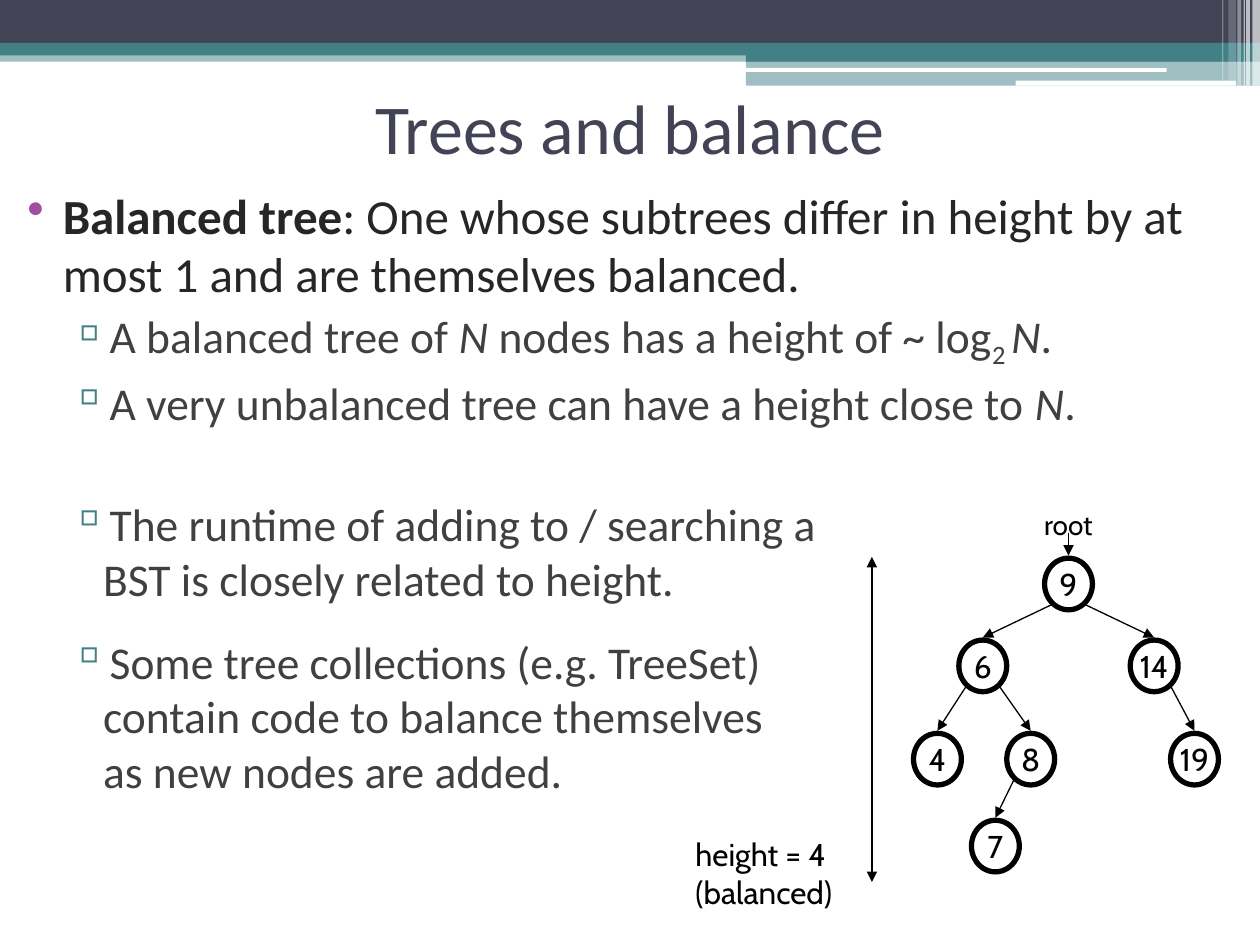
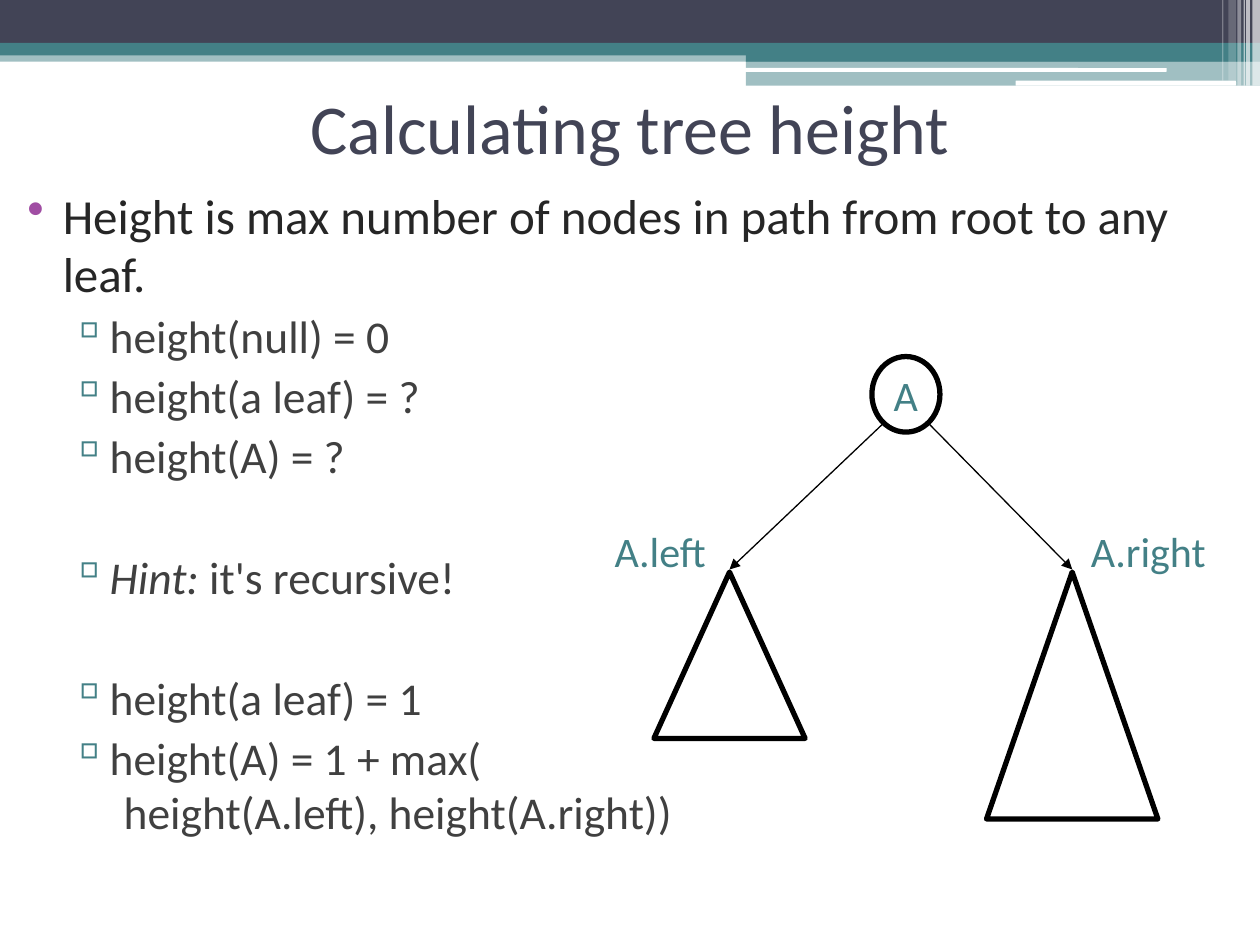
from dataclasses import dataclass

from lxml import etree
from pptx import Presentation
from pptx import util as u
from pptx.dml.color import RGBColor
from pptx.enum import shapes, text
from pptx.oxml import ns

SHAPE = shapes.MSO_SHAPE
ALIGN = text.PP_ALIGN


@dataclass(frozen=True)
class Theme:
    navy: str = "424456"
    teal: str = "438086"
    purple: str = "A04DA3"
    white: str = "FFFFFF"
    black: str = "000000"
    body: str = "262626"
    detail: str = "404040"
    body_font: str = "Calibri"
    diagram_font: str = "Cabin"
    title_size: int = 40
    body_size: int = 28
    detail_size: int = 26
    label_size: int = 24
    node_size: int = 18
    root_size: int = 16
    outline: float = 3
    arrow: float = 0.75
    gap: int = 3
    wide_gap: int = 16
    line_gap: int = 38


T = Theme()

BANDS = [
    (SHAPE.RECTANGLE, (0, 0.4, 10, 0.09), T.teal, 50),
    (SHAPE.RECTANGLE, (0, 0, 10, 0.34), T.navy, 100),
    (SHAPE.RECTANGLE, (0, 0.34, 10, 0.1), T.teal, 100),
    (SHAPE.RECTANGLE, (5.92, 0.39, 4.08, 0.1), T.teal, 100),
    (SHAPE.RECTANGLE, (5.92, 0.48, 4.08, 0.2), T.teal, 50),
    (SHAPE.ROUNDED_RECTANGLE, (5.91, 0.54, 3.35, 0.03), T.white, 100),
    (SHAPE.ROUNDED_RECTANGLE, (8.06, 0.64, 1.75, 0.04), T.white, 100),
]
STRIPES = [
    (9.94, 0.06, 0.68, 65),
    (9.89, 0.03, 0.68, 65),
    (9.87, 0.01, 0.68, 60),
    (9.82, 0.03, 0.68, 40),
    (9.75, 0.06, 0.64, 20),
    (9.7, 0.01, 0.64, 30),
]


def inches(*values):
    return [u.Inches(v) for v in values]


def rgb(code):
    return RGBColor.from_string(code)


def sub(parent, tag, **attrs):
    return etree.SubElement(parent, ns.qn(tag), attrs)


def style(font, name, size, color):
    font.name = name
    font.size = u.Pt(size)
    font.color.rgb = rgb(color)


def add_band(slide, layout, kind, box, color, opacity):
    sp = slide.shapes.add_shape(kind, *inches(*box))
    sp.shadow.inherit = False
    sp.fill.solid()
    sp.fill.fore_color.rgb = rgb(color)
    sp.line.fill.background()
    if opacity < 100:
        fill = sp.element.spPr.find(ns.qn("a:solidFill"))
        sub(fill[0], "a:alpha", val=str(opacity * 1000))
    layout.shapes.element.append(sp.element)


def add_bands(slide, layout):
    for band in BANDS:
        add_band(slide, layout, *band)
    for left, width, height, opacity in STRIPES:
        add_band(slide, layout, SHAPE.RECTANGLE, (left, 0, width, height), T.white, opacity)


def set_title(slide, words):
    title = slide.shapes.title
    title.left, title.top, title.width, title.height = inches(0.5, 0.42, 9, 1.17)
    tf = title.text_frame
    tf.text = words
    tf.vertical_anchor = text.MSO_ANCHOR.MIDDLE
    p = tf.paragraphs[0]
    p.alignment = ALIGN.CENTER
    style(p.font, T.body_font, T.title_size, T.navy)


def add_runs(p, runs):
    for run in runs:
        words, look = (run, "") if isinstance(run, str) else run
        for i, line in enumerate(words.split("\n")):
            if i:
                p.add_line_break()
            r = p.add_run()
            r.text = line
            if look == "bold":
                r.font.bold = True
            elif look == "italic":
                r.font.italic = True
            elif look == "subscript":
                r.font._element.set("baseline", "-25000")


def add_bullet(p, level, gap, runs):
    sign, sign_color, left, hang, size, color = [
        ("•", T.purple, 0.4, 0.28, T.body_size, T.body),
        ("▫", T.teal, 0.72, 0.27, T.detail_size, T.detail),
    ][level]
    p.level = level
    pPr = p._p.get_or_add_pPr()
    pPr.set("marL", str(u.Inches(left)))
    pPr.set("indent", str(-u.Inches(hang)))
    p.space_before = u.Pt(gap)
    sub(sub(pPr, "a:buClr"), "a:srgbClr", val=sign_color)
    sub(pPr, "a:buChar", char=sign)
    style(p.font, T.body_font, size, color)
    add_runs(p, runs)


def add_body(slide, headline, details):
    tf = slide.shapes.add_textbox(*inches(0, 1.42, 10, 6.08)).text_frame
    tf.word_wrap = True
    add_bullet(tf.paragraphs[0], 0, 0, headline)
    for gap, *runs in details:
        add_bullet(tf.add_paragraph(), 1, gap, runs)


def add_label(group, box, lines, font, size, color, align=ALIGN.LEFT, wrap=False):
    tf = group.add_textbox(*inches(*box)).text_frame
    tf.word_wrap = wrap
    tf.text = lines
    for p in tf.paragraphs:
        p.alignment = align
        style(p.font, font, size, color)


def add_outline(group, kind, box):
    sp = group.add_shape(kind, *inches(*box))
    sp.shadow.inherit = False
    sp.fill.background()
    sp.line.color.rgb = rgb(T.black)
    sp.line.width = u.Pt(T.outline)
    return sp


def add_node(group, box, words, font, size, color):
    tf = add_outline(group, SHAPE.OVAL, box).text_frame
    tf.word_wrap = False
    tf.vertical_anchor = text.MSO_ANCHOR.MIDDLE
    tf.text = words
    p = tf.paragraphs[0]
    p.alignment = ALIGN.CENTER
    style(p.font, font, size, color)


def add_arrow(group, start, end, both=False):
    line = group.add_connector(shapes.MSO_CONNECTOR.STRAIGHT, *inches(*start, *end))
    line.line.color.rgb = rgb(T.black)
    line.line.width = u.Pt(T.arrow)
    ln = line.line._get_or_add_ln()
    if both:
        sub(ln, "a:headEnd", type="triangle")
    sub(ln, "a:tailEnd", type="triangle")
    sub(line.element.spPr, "a:effectLst")


def add_branch(group, parent, child):
    left, top, width, height = parent
    center = left + width / 2
    tip = child[0] + child[2] / 2
    side = 1 if tip > center else -1
    start = (center + side * 0.35 * width, top + 0.9 * height)
    add_arrow(group, start, (tip, child[1] - 0.02))


def draw_balanced_tree(slide):
    group = slide.shapes.add_group_shape().shapes
    places = {
        "9": (8.29, 4.43), "6": (7.61, 5.08), "14": (8.97, 5.08),
        "4": (7.25, 5.82), "8": (7.99, 5.82), "19": (9.29, 5.82), "7": (7.71, 6.51),
    }
    nodes = {key: (*place, 0.38, 0.41) for key, place in places.items()}
    for key, box in nodes.items():
        add_node(group, box, key, T.diagram_font, T.node_size, T.black)
    for parent, child in [("9", "6"), ("9", "14"), ("6", "4"), ("6", "8"), ("14", "19"), ("8", "7")]:
        add_branch(group, nodes[parent], nodes[child])
    add_label(group, (8.18, 3.98, 0.6, 0.37), "root",
              T.diagram_font, T.root_size, T.black, ALIGN.CENTER)
    add_arrow(group, (8.48, 4.23), (8.48, 4.41))
    add_arrow(slide.shapes, (6.92, 4.42), (6.92, 7), both=True)
    add_label(slide.shapes, (5.42, 6.58, 1.38, 0.7), "height = 4\n(balanced)",
              T.diagram_font, T.node_size, T.black)


def draw_subtrees(slide):
    group = slide.shapes.add_group_shape().shapes
    root = (6.92, 2.83, 0.54, 0.6)
    add_node(group, root, "A", T.body_font, T.label_size, T.teal)
    for subtree in [(5.19, 4.54, 1.2, 1.32), (7.83, 4.54, 1.36, 1.96)]:
        add_outline(group, SHAPE.ISOSCELES_TRIANGLE, subtree)
        add_branch(group, root, subtree)
    for left, width, words, align in [
        (4.58, 1.12, "A.left", ALIGN.RIGHT),
        (8.56, 1.19, "A.right", ALIGN.LEFT),
    ]:
        add_label(group, (left, 4.12, width, 0.5), words,
                  T.body_font, T.label_size, T.teal, align, wrap=True)


def main():
    prs = Presentation()
    prs.slide_width, prs.slide_height = inches(10, 7.5)
    layout = prs.slide_layouts[5]
    n = ("N", "italic")

    balance = prs.slides.add_slide(layout)
    add_bands(balance, layout)
    set_title(balance, "Trees and balance")
    add_body(balance, [
        ("Balanced tree", "bold"),
        ": One whose subtrees differ in height by at most 1 and are themselves balanced.",
    ], [
        (T.gap, "A balanced tree of ", n, " nodes has a height of ~ log", ("2 ", "subscript"), n, "."),
        (T.gap, "A very unbalanced tree can have a height close to ", n, "."),
        (T.line_gap, "The runtime of adding to / searching a\nBST is closely related to height."),
        (T.wide_gap, "Some tree collections (e.g. TreeSet)\ncontain code to balance themselves\n"
                     "as new nodes are added."),
    ])
    draw_balanced_tree(balance)

    height = prs.slides.add_slide(layout)
    set_title(height, "Calculating tree height")
    add_body(height, ["Height is max number of nodes in path from root to any leaf."], [
        (T.gap, "height(null) = 0"),
        (T.gap, "height(a leaf) = ?"),
        (T.gap, "height(A) = ?"),
        (T.line_gap, ("Hint:", "italic"), " it's recursive!"),
        (T.line_gap, "height(a leaf) = 1"),
        (T.gap, "height(A) = 1 + max(\n  height(A.left), height(A.right))"),
    ])
    draw_subtrees(height)

    prs.save("out.pptx")


if __name__ == "__main__":
    main()
